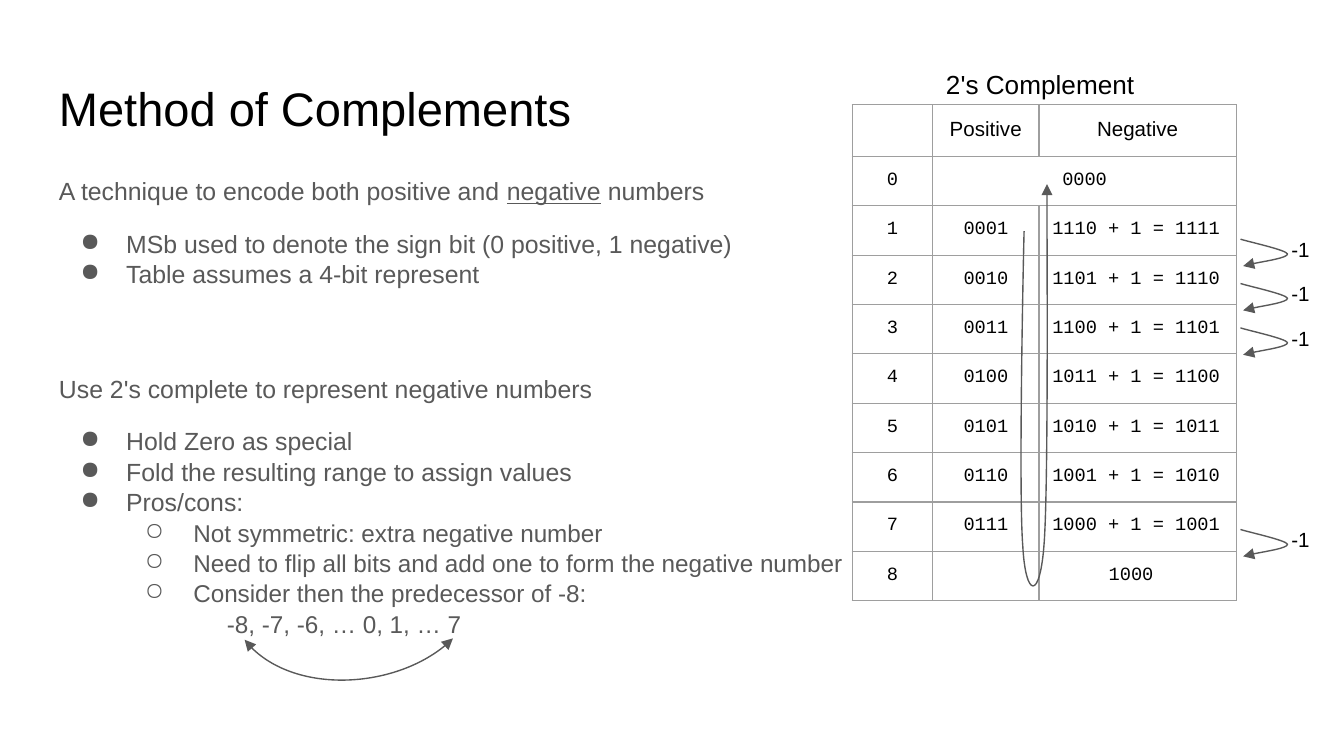
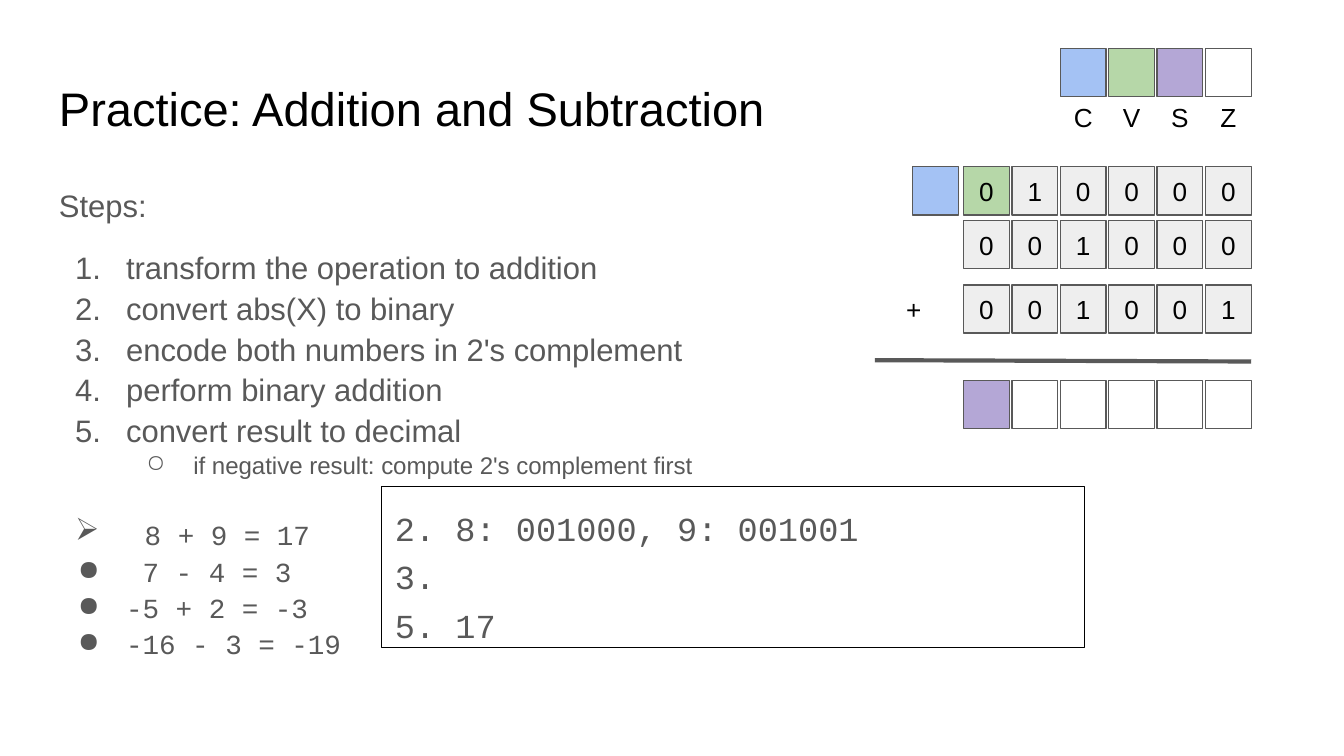
from lxml import etree
from pptx import Presentation
from pptx.dml.color import RGBColor
from pptx.enum.shapes import MSO_CONNECTOR, MSO_SHAPE
from pptx.enum.text import MSO_ANCHOR, PP_ALIGN
from pptx.oxml.ns import qn
from pptx.util import Inches, Pt

RECTANGLE = MSO_SHAPE.RECTANGLE
STRAIGHT = MSO_CONNECTOR.STRAIGHT
LEFT, CENTER = PP_ALIGN.LEFT, PP_ALIGN.CENTER
TOP, MIDDLE = MSO_ANCHOR.TOP, MSO_ANCHOR.MIDDLE

SLIDE_W, SLIDE_H = 10, 5.625
SANS, MONO = "Arial", "Courier New"
BLACK, WHITE, GRAY, BORDER = "000000", "FFFFFF", "595959", "9E9E9E"
BIT, CARRY, OVERFLOW, SIGN = "EEEEEE", "A4C2F4", "B6D7A8", "B4A7D6"
INSET = 0.1
TITLE_BOX = (0.34, 0.49, 9.32, 0.63)
BODY_BOX = (0.34, 1.26, 9.32, 3.74)


def rgb(color):
    return RGBColor.from_string(color)


def inches(*lengths):
    return [Inches(length) for length in lengths]


# Text
def add_run(paragraph, text, size, color=BLACK, font=SANS, underline=None):
    run = paragraph.add_run()
    run.text = text
    run.font.size = Pt(size)
    run.font.name = font
    run.font.color.rgb = rgb(color)
    run.font.underline = underline


def prepare_frame(frame, anchor=TOP):
    frame.word_wrap = True
    frame.vertical_anchor = anchor
    frame.margin_left = frame.margin_right = Inches(INSET)
    frame.margin_top = frame.margin_bottom = Inches(INSET)
    return frame


def add_label(slide, box, text, size, align=LEFT, anchor=TOP):
    frame = prepare_frame(slide.shapes.add_textbox(*inches(*box)).text_frame, anchor)
    frame.paragraphs[0].alignment = align
    add_run(frame.paragraphs[0], text, size)


def set_bullet(paragraph, bullet, margin, hanging):
    props = paragraph._p.get_or_add_pPr()
    props.set("marL", str(Inches(margin)))
    props.set("indent", str(-Inches(hanging)))
    if not bullet:
        etree.SubElement(props, qn("a:buNone"))
        return
    bullet_color = etree.SubElement(props, qn("a:buClr"))
    etree.SubElement(bullet_color, qn("a:srgbClr"), val=GRAY)
    if bullet == "1.":
        etree.SubElement(props, qn("a:buAutoNum"), type="arabicPeriod")
    else:
        etree.SubElement(props, qn("a:buChar"), char=bullet)


def add_item(frame, runs, size, bullet=None, level=0, margin=0, hanging=0,
             spacing=1.0, before=0, font=SANS):
    """Add a body paragraph; each run is (text, options)."""
    is_first = not frame.paragraphs[0].runs
    paragraph = frame.paragraphs[0] if is_first else frame.add_paragraph()
    paragraph.level = level
    paragraph.line_spacing = spacing
    paragraph.space_before = Pt(before)
    set_bullet(paragraph, bullet, margin, hanging)
    for text, options in runs:
        add_run(paragraph, text, **{"size": size, "color": GRAY, "font": font, **options})


def add_page(prs, title):
    """Add a blank slide with its title and return it with the body frame."""
    slide = prs.slides.add_slide(prs.slide_layouts[6])
    add_label(slide, TITLE_BOX, title, 25.2)
    body = prepare_frame(slide.shapes.add_textbox(*inches(*BODY_BOX)).text_frame)
    return slide, body


# Shapes
def add_box(slide, box, fill=None, line=GRAY):
    shape = slide.shapes.add_shape(RECTANGLE, *inches(*box))
    shape.shadow.inherit = False
    if fill:
        shape.fill.solid()
        shape.fill.fore_color.rgb = rgb(fill)
    else:
        shape.fill.background()
    if line:
        shape.line.color.rgb = rgb(line)
        shape.line.width = Pt(0.75)
    else:
        shape.line.fill.background()
    return shape


def add_curve(slide, left, top, points, ends=("tailEnd",)):
    """Draw joined cubic curves: a start, then three points per curve."""
    places = [inches(left + x, top + y) for x, y in points]
    builder = slide.shapes.build_freeform(*places[0])
    builder.add_line_segments(places[1:], close=False)
    curve = builder.convert_to_shape()
    outline = curve._element.find(".//" + qn("a:path"))
    segments = outline.findall(qn("a:lnTo"))
    for start in range(0, len(segments), 3):
        bezier = etree.SubElement(outline, qn("a:cubicBezTo"))
        for segment in segments[start:start + 3]:
            bezier.append(segment[0])
            outline.remove(segment)
    curve.shadow.inherit = False
    curve.fill.background()
    curve.line.color.rgb = rgb(GRAY)
    curve.line.width = Pt(0.75)
    stroke = curve._element.spPr.find(qn("a:ln"))
    for end in ends:
        etree.SubElement(stroke, qn("a:" + end), type="triangle")


# Complement table
def set_borders(cell):
    props = cell._tc.get_or_add_tcPr()
    for side in ("lnL", "lnR", "lnT", "lnB"):
        border = etree.SubElement(props, qn("a:" + side), w=str(Pt(0.75)))
        fill = etree.SubElement(border, qn("a:solidFill"))
        etree.SubElement(fill, qn("a:srgbClr"), val=BORDER)


def complement_rows():
    rows = [("", "Positive", "Negative"), ("0", "0000", "")]
    for number in range(1, 8):
        flipped, negative = 15 - number, 16 - number
        rows.append((str(number), f"{number:04b}", f"{flipped:04b} + 1 = {negative:04b}"))
    return rows + [("8", "", "1000")]


def add_complement_table(slide, left, top):
    widths, row_height = (0.6, 0.79, 1.47), 0.36
    rows = complement_rows()
    table = slide.shapes.add_table(
        len(rows), len(widths),
        *inches(left, top, sum(widths), row_height * len(rows))).table
    table.first_row = table.horz_banding = False
    for column, width in zip(table.columns, widths):
        column.width = Inches(width)
    for r, texts in enumerate(rows):
        table.rows[r].height = Inches(row_height)
        for c, text in enumerate(texts):
            cell = table.cell(r, c)
            set_borders(cell)
            cell.fill.background()
            cell.margin_left = cell.margin_right = Inches(INSET)
            cell.margin_top = cell.margin_bottom = Inches(INSET if text else 0)
            if not text:
                continue
            paragraph = cell.text_frame.paragraphs[0]
            paragraph.alignment = LEFT if r > 1 and c == 2 else CENTER
            add_run(paragraph, text, 10 if r else 11, font=MONO if r else SANS)
    table.cell(1, 1).merge(table.cell(1, 2))
    table.cell(len(rows) - 1, 2).margin_left = Inches(0.52)
    add_label(slide, (left + 0.6, top - 0.37, 1.89, 0.44), "2's Complement", 14)


def add_decrement(slide, left, top):
    """Arrow from one row to the next, marked -1."""
    add_curve(slide, left, top, [(0, 0), (0.06, 0.02), (0.34, 0.08), (0.35, 0.11),
                                 (0.35, 0.14), (0.08, 0.18), (0.02, 0.2)])
    add_label(slide, (left + 0.28, top - 0.11, 0.35, 0.39), "-1", 11)


def build_complements(prs):
    slide, body = add_page(prs, "Method of Complements")
    size = 13.3
    bullet = dict(size=size, bullet="●", margin=0.5, hanging=0.34, spacing=1.03)
    sub_bullet = dict(size=13, bullet="○", level=1, margin=1, hanging=0.36, spacing=1.04)

    # Body text
    add_item(body, [("A technique to encode both positive and ", {}),
                    ("negative", {"underline": True}),
                    (" numbers", {})], size, spacing=0.75)
    add_item(body, [("MSb used to denote the sign bit (0 positive, 1 negative)", {})],
             before=12, **bullet)
    add_item(body, [("Table assumes a 4-bit represent", {})], **bullet)
    add_item(body, [("Use 2's complete to represent negative numbers", {})],
             size, spacing=0.75, before=49)
    for i, text in enumerate(("Hold Zero as special",
                              "Fold the resulting range to assign values", "Pros/cons:")):
        add_item(body, [(text, {})], before=0 if i else 12, **bullet)
    for text in ("Not symmetric: extra negative number",
                 "Need to flip all bits and add one to form the negative number",
                 "Consider then the predecessor of -8:"):
        add_item(body, [(text, {})], **sub_bullet)
    add_item(body, [("-8, -7, -6, … 0, 1, … 7", {})], 13, level=1, margin=1.25, spacing=1.04)

    # Table with its arrows
    add_complement_table(slide, 6.34, 0.78)
    for top in (1.78, 2.11, 2.44, 3.94):
        add_decrement(slide, 9.23, top)
    add_curve(slide, 7.6, 1.37, [(0.02, 0.35), (0.01, 0.74), (-0.02, 2.31), (0.01, 2.69),
                                 (0.03, 3.08), (0.14, 3.11), (0.17, 2.66),
                                 (0.2, 2.21), (0.19, 0.44), (0.19, 0)])

    # Wrap-around arrow
    add_curve(slide, 1.82, 4.75, [(0, 0.01), (0.31, 0.42), (1.19, 0.37), (1.55, 0)],
              ends=("headEnd", "tailEnd"))


# Binary addition
def add_addition(slide, left, top):
    """Bits on a grid of columns; the carry sits one column to the left."""
    pitch, width, height = 0.36, 0.34, 0.36

    def add_bit(column, row_top, fill, text="", line=GRAY):
        box = (left + column * pitch, top + row_top, width, height)
        frame = prepare_frame(add_box(slide, box, fill, line).text_frame, MIDDLE)
        if text:
            frame.paragraphs[0].alignment = CENTER
            add_run(frame.paragraphs[0], text, 14)

    # Flags
    for column, (flag, fill) in enumerate(
            zip("CVSZ", (CARRY, OVERFLOW, SIGN, WHITE)), start=2):
        add_bit(column, 0, fill)
        add_label(slide, (left + column * pitch, top + 0.33, width, height),
                  flag, 14, CENTER, MIDDLE)

    # Carries, operands and result
    rows = ((0.88, "010000", OVERFLOW, BIT), (1.28, "001000", BIT, BIT),
            (1.76, "001001", BIT, BIT), (2.47, [""] * 6, SIGN, WHITE))
    for row_top, bits, first_fill, fill in rows:
        for column, bit in enumerate(bits):
            add_bit(column, row_top, fill if column else first_fill, bit)
    add_bit(-1.05, 0.88, CARRY)
    add_bit(-1.5, 1.76, WHITE, "+", line=None)

    # Sum line
    rule = slide.shapes.add_connector(
        STRAIGHT, *inches(left - 0.66, top + 2.32, left + 2.14, top + 2.33))
    rule.line.color.rgb = rgb(GRAY)
    rule.line.width = Pt(2.25)
    etree.SubElement(rule._element.spPr, qn("a:effectLst"))


def add_answer(slide, box, lines):
    frame = prepare_frame(add_box(slide, box, line=BLACK).text_frame)
    paragraph = frame.paragraphs[0]
    paragraph.alignment = LEFT
    paragraph.line_spacing = 1.2
    paragraph.space_after = Pt(12)
    for i, line in enumerate(lines):
        if i:
            paragraph.add_line_break()
        add_run(paragraph, line, 18, GRAY, MONO)


def build_practice(prs):
    slide, body = add_page(prs, "Practice: Addition and Subtraction")
    size, spacing = 16.6, 1.09

    # Steps
    add_item(body, [("Steps:", {})], size, spacing=spacing)
    for i, step in enumerate(("transform the operation to addition",
                              "convert abs(X) to binary",
                              "encode both numbers in 2's complement",
                              "perform binary addition",
                              "convert result to decimal")):
        add_item(body, [(step, {})], size, "1.", margin=0.5, hanging=0.38,
                 spacing=spacing, before=0 if i else 12)
    add_item(body, [("if negative result: compute 2's complement first", {})], 12.9,
             "○", level=1, margin=1, hanging=0.35, spacing=spacing)

    # Exercises
    add_item(body, [(" ", {"size": size}), ("8 + 9 = 17", {})], 14.8, "➢",
             margin=0.5, hanging=0.38, spacing=spacing, before=17, font=MONO)
    for exercise in (" 7 - 4 = 3", "-5 + 2 = -3", "-16 - 3 = -19"):
        add_item(body, [(exercise, {})], 14.8, "●", margin=0.5, hanging=0.36,
                 spacing=spacing, font=MONO)

    add_addition(slide, 7.17, 0.36)
    add_answer(slide, (2.84, 3.62, 5.23, 1.2),
               ("2. 8: 001000, 9: 001001", "3.", "5. 17"))


def main():
    prs = Presentation()
    prs.slide_width, prs.slide_height = inches(SLIDE_W, SLIDE_H)
    build_complements(prs)
    build_practice(prs)
    prs.save("out.pptx")


if __name__ == "__main__":
    main()
